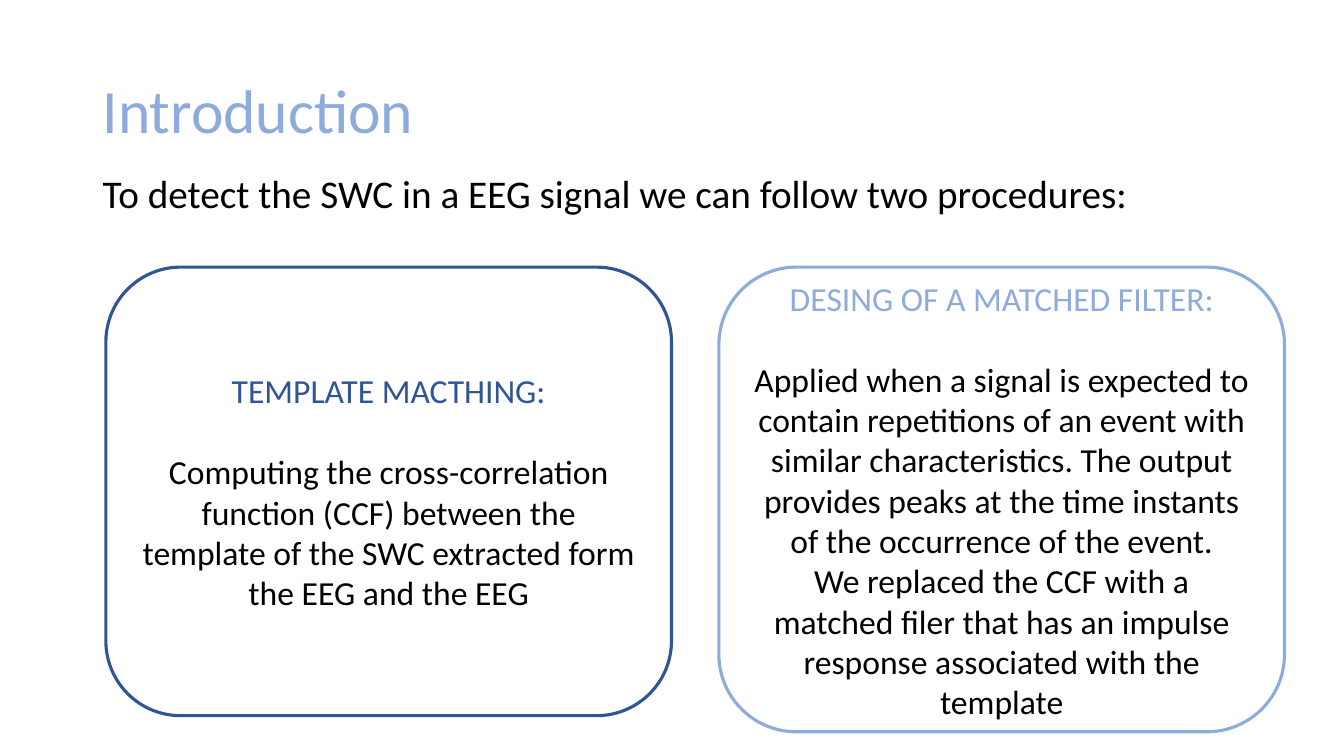
from dataclasses import dataclass

from pptx import Presentation
from pptx.dml.color import RGBColor
from pptx.enum.shapes import MSO_SHAPE
from pptx.enum.text import MSO_ANCHOR, PP_ALIGN
from pptx.slide import Slide
from pptx.util import Inches, Pt

FONT = "Calibri"
COLORS = {"dark": "2F5597", "light": "8FAADC", "text": "000000"}


@dataclass
class Label:
    text: str
    top: float
    height: float
    size: int
    color: str
    anchor: MSO_ANCHOR


@dataclass
class Card:
    head: str
    body: list[str]
    left: float
    height: float
    color: str


LABELS = [
    Label("Introduction", 0.4, 1.45, 44, "light", MSO_ANCHOR.MIDDLE),
    Label("To detect the SWC in a EEG signal we can follow two procedures:",
          1.68, 0.7, 28, "text", MSO_ANCHOR.TOP),
]
CARDS = [
    Card("TEMPLATE MACTHING:",
         ["Computing the cross-correlation function (CCF) between the template "
          "of the SWC extracted form the EEG and the EEG"],
         1.05, 4.45, "dark"),
    Card("DESING OF A MATCHED FILTER:",
         ["Applied when a signal is expected to contain repetitions of an event "
          "with similar characteristics. The output provides peaks at the time "
          "instants of the occurrence of the event.",
          "We replaced the CCF with a matched filer that has an impulse response "
          "associated with the template"],
         7.13, 4.61, "light"),
]


def rgb(name: str) -> RGBColor:
    return RGBColor.from_string(COLORS[name])


def style(para, size: int, color: str) -> None:
    para.font.name = FONT
    para.font.size = Pt(size)
    para.font.color.rgb = rgb(color)


def add_label(slide: Slide, label: Label) -> None:
    box = slide.shapes.add_textbox(
        Inches(0.92), Inches(label.top), Inches(11.5), Inches(label.height))
    frame = box.text_frame
    frame.word_wrap = True
    frame.vertical_anchor = label.anchor
    para = frame.paragraphs[0]
    para.text = label.text
    para.line_spacing = 0.9
    style(para, label.size, label.color)


def add_card(slide: Slide, card: Card) -> None:
    shape = slide.shapes.add_shape(
        MSO_SHAPE.ROUNDED_RECTANGLE, Inches(card.left), Inches(2.65),
        Inches(5.61), Inches(card.height))
    shape.shadow.inherit = False
    shape.fill.background()
    shape.line.color.rgb = rgb(card.color)
    shape.line.width = Pt(2.25)
    frame = shape.text_frame
    frame.word_wrap = True
    frame.vertical_anchor = MSO_ANCHOR.MIDDLE
    frame.text = "\n".join([card.head, *card.body])
    for para in frame.paragraphs:
        para.alignment = PP_ALIGN.CENTER
        style(para, 24, "text")
    head = frame.paragraphs[0]
    head.font.color.rgb = rgb(card.color)
    head.space_after = Pt(29)


def main() -> None:
    deck = Presentation()
    deck.slide_width, deck.slide_height = Inches(13.33), Inches(7.5)
    slide = deck.slides.add_slide(deck.slide_layouts[6])
    for label in LABELS:
        add_label(slide, label)
    for card in CARDS:
        add_card(slide, card)
    deck.save("out.pptx")


if __name__ == "__main__":
    main()
